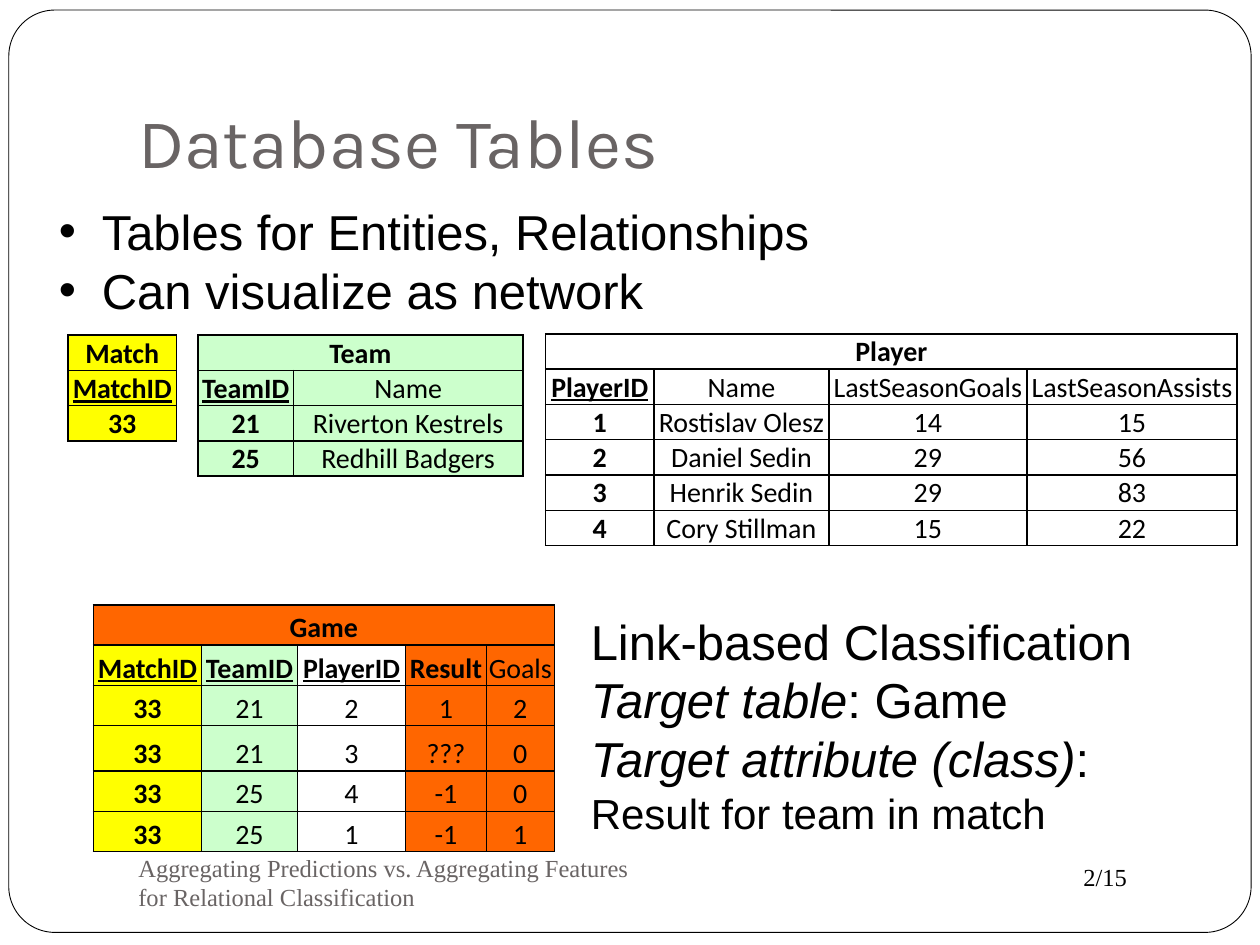
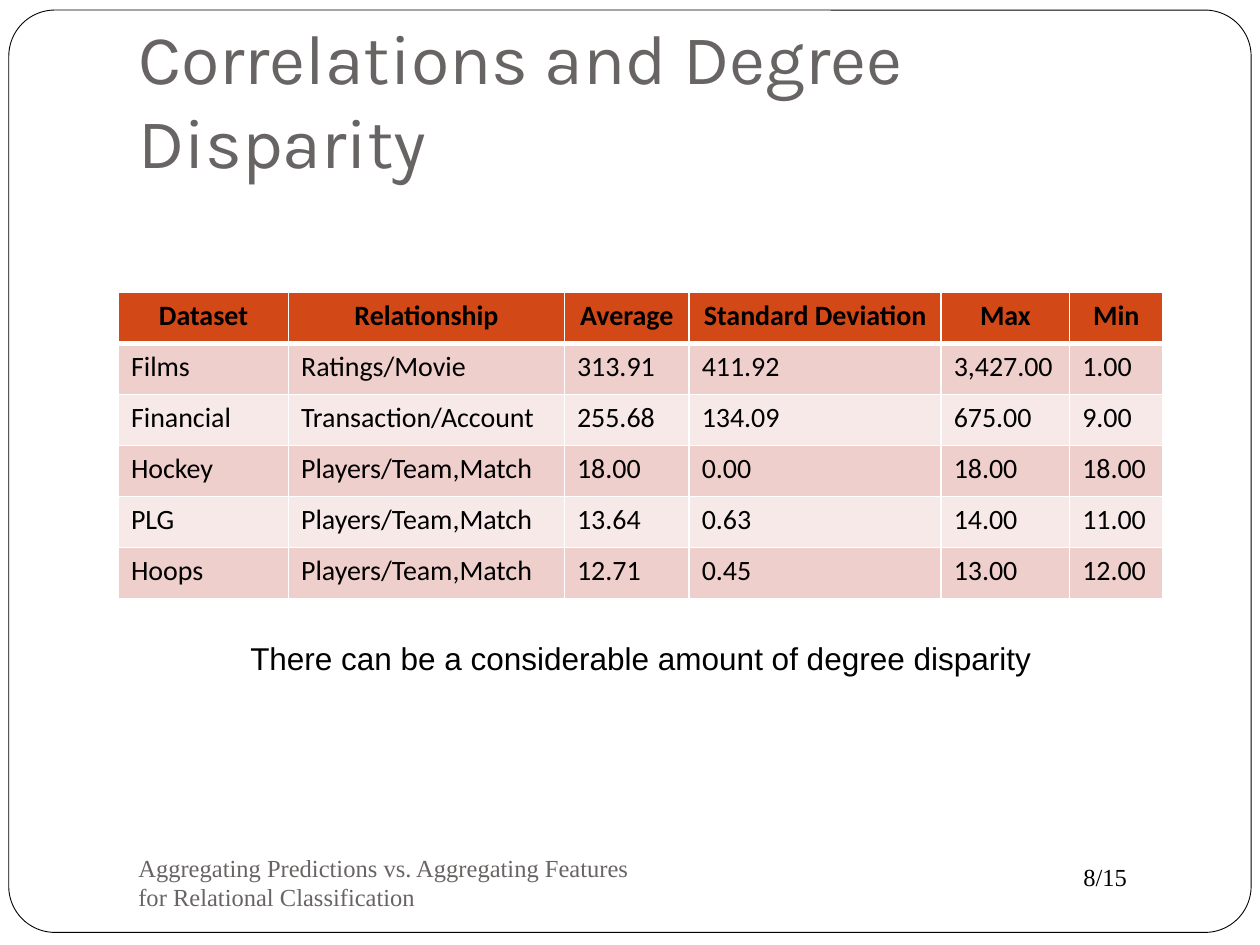
from lxml import etree
from pptx import Presentation
from pptx.dml.color import RGBColor
from pptx.enum.shapes import MSO_SHAPE as Shape
from pptx.enum.text import MSO_ANCHOR as Anchor, PP_ALIGN as Align
from pptx.oxml.ns import qn
from pptx.util import Pt

PX = 9144  # EMU per px, 100 px to the inch
hex_color = RGBColor.from_string

BLACK, WHITE, GREY = "000000", "FFFFFF", "696464"
YELLOW, GREEN, ORANGE = "FFFF00", "CCFFCC", "FF6600"
HEADER_RED, BAND_DARK, BAND_LIGHT = "D34817", "EFCFCC", "F7E9E8"
FOOTER = "Aggregating Predictions vs. Aggregating Features for Relational Classification"


def write_text(frame, paragraphs, font, size, color=BLACK, align=Align.LEFT):
    """Each paragraph is a list of (text, flags, size change); flags are b, i, u."""
    frame.word_wrap = True
    for index, runs in enumerate(paragraphs):
        paragraph = frame.paragraphs[0] if index == 0 else frame.add_paragraph()
        paragraph.alignment = align
        for text, flags, change in runs:
            run = paragraph.add_run()
            run.text = text
            run.font.name, run.font.size = font, Pt(size + change)
            run.font.bold, run.font.italic, run.font.underline = (flag in flags for flag in "biu")
            run.font.color.rgb = hex_color(color)


def style_cell(cell, fill, line, widths):
    """Fill a cell and draw its left, right, top and bottom borders."""
    cell.fill.solid()
    cell.fill.fore_color.rgb = hex_color(fill)
    properties = cell._tc.get_or_add_tcPr()
    for index, (side, width) in enumerate(zip("LRTB", widths)):
        border = etree.Element(qn(f"a:ln{side}"), w=str(Pt(width)))
        solid = etree.SubElement(border, qn("a:solidFill"))
        etree.SubElement(solid, qn("a:srgbClr"), val=line)
        properties.insert(index, border)


presentation = Presentation()
presentation.slide_width, presentation.slide_height = 1000 * PX, 750 * PX

# Frame, title, footer and page number on both slides
slides = []
for title, page in (("Database Tables", "2/15"), ("Correlations and Degree Disparity", "8/15")):
    slide = presentation.slides.add_slide(presentation.slide_layouts[6])
    slides.append(slide)
    outline = slide.shapes.add_shape(Shape.ROUNDED_RECTANGLE, 7 * PX, 8 * PX, 986 * PX, 732 * PX)
    outline.adjustments[0] = 0.05
    outline.shadow.inherit = False
    outline.fill.solid()
    outline.fill.fore_color.rgb = hex_color(WHITE)
    outline.line.color.rgb = hex_color(BLACK)
    outline.line.width = Pt(0.5)
    for text, box, font, size, color, anchor in (
        (title, (100, 30, 850, 125), "Karla", 40, GREY, Anchor.BOTTOM),
        (FOOTER, (100, 675, 433, 50), "Times New Roman", 14, GREY, Anchor.MIDDLE),
        (page, (850, 679, 100, 34), "Times New Roman", 14, BLACK, Anchor.TOP),
    ):
        frame = slide.shapes.add_textbox(*(value * PX for value in box)).text_frame
        frame.vertical_anchor = anchor
        if text == title:
            frame.margin_bottom = 10 * PX
        write_text(frame, [[(text, "", 0)]], font, size, color)
tables_slide, disparity_slide = slides

# Body texts
bullets = [[("Tables for Entities, Relationships", "", 0)], [("Can visualize as network", "", 0)]]
task = [
    [("Link-based Classification", "", 0)],
    [("Target table", "i", 0), (": Game", "", 0)],
    [("Target attribute (class)", "i", 0), (":", "", 0)],
    [("Result for team in match", "", -4)],
]
remark = [[("There can be a considerable amount of degree disparity", "", 0)]]
for slide, paragraphs, box, size, align in (
    (tables_slide, bullets, (37, 155, 677, 104), 28, Align.LEFT),
    (tables_slide, task, (459, 480, 541, 192), 28, Align.LEFT),
    (disparity_slide, remark, (94, 502, 829, 40), 18, Align.CENTER),
):
    frame = slide.shapes.add_textbox(*(value * PX for value in box)).text_frame
    write_text(frame, paragraphs, "Arial", size, align=align)
    if paragraphs is bullets:
        for paragraph in frame.paragraphs:
            properties = paragraph._p.get_or_add_pPr()
            properties.set("marL", str(34 * PX))
            properties.set("indent", str(-34 * PX))
            etree.SubElement(properties, qn("a:buFont"), typeface="Arial")
            etree.SubElement(properties, qn("a:buChar"), char="•")

# Entity and relationship tables: name, left, top, row heights, line spacing,
# column widths, column colours, rows below the name
entity_tables = (
    ("Team", 157, 266, [28] * 4, 1, (76, 182), [GREEN] * 2, (
        ("TeamID", "Name"),
        ("21", "Riverton Kestrels"),
        ("25", "Redhill Badgers"),
    )),
    ("Player", 433, 265, [28] * 6, 1, (86, 139, 157, 167), [WHITE] * 4, (
        ("PlayerID", "Name", "LastSeasonGoals", "LastSeasonAssists"),
        ("1", "Rostislav Olesz", "14", "15"),
        ("2", "Daniel Sedin", "29", "56"),
        ("3", "Henrik Sedin", "29", "83"),
        ("4", "Cory Stillman", "15", "22"),
    )),
    ("Match", 54, 266, [28] * 3, 1, (86,), [YELLOW], (("MatchID",), ("33",))),
    ("Game", 74, 480, (32, 32, 32, 36, 32, 32), 1.15, (86, 76, 86, 64, 54),
     (YELLOW, GREEN, WHITE, ORANGE, ORANGE), (
        ("MatchID", "TeamID", "PlayerID", "Result", "Goals"),
        ("33", "21", "2", "1", "2"),
        ("33", "21", "3", "???", "0"),
        ("33", "25", "4", "-1", "0"),
        ("33", "25", "1", "-1", "1"),
    )),
)
for name, left, top, heights, spacing, widths, colors, rows in entity_tables:
    table = tables_slide.shapes.add_table(
        len(heights), len(widths), left * PX, top * PX, sum(widths) * PX, sum(heights) * PX).table
    table.first_row = table.horz_banding = False
    for column, width in zip(table.columns, widths):
        column.width = width * PX
    for row, height in zip(table.rows, heights):
        row.height = height * PX
    name_row = (name,) + ("",) * (len(widths) - 1)
    for row_index, texts in enumerate((name_row, *rows)):
        for column_index, text in enumerate(texts):
            cell = table.cell(row_index, column_index)
            style_cell(cell, colors[-1] if row_index == 0 else colors[column_index], BLACK, [1] * 4)
            cell.margin_left = cell.margin_top = cell.margin_right = PX
            cell.margin_bottom = 0
            cell.vertical_anchor = Anchor.BOTTOM
            is_key = text.endswith("ID")
            is_bold = row_index == 0 or column_index == 0 or is_key or text == "Result"
            flags = "b" * is_bold + "u" * is_key
            if text:
                write_text(cell.text_frame, [[(text, flags, 0)]], "Calibri", 16, align=Align.CENTER)
                cell.text_frame.paragraphs[0].line_spacing = spacing
    if len(widths) > 1:
        table.cell(0, 0).merge(table.cell(0, len(widths) - 1))

# Degree disparity table
disparity_rows = (
    ("Dataset", "Relationship", "Average", "Standard Deviation", "Max", "Min"),
    ("Films", "Ratings/Movie", "313.91", "411.92", "3,427.00", "1.00"),
    ("Financial", "Transaction/Account", "255.68", "134.09", "675.00", "9.00"),
    ("Hockey", "Players/Team,Match", "18.00", "0.00", "18.00", "18.00"),
    ("PLG", "Players/Team,Match", "13.64", "0.63", "14.00", "11.00"),
    ("Hoops", "Players/Team,Match", "12.71", "0.45", "13.00", "12.00"),
)
disparity_widths = (135, 219, 99, 200, 102, 74)
table = disparity_slide.shapes.add_table(
    len(disparity_rows), len(disparity_widths), 94 * PX, 232 * PX, 829 * PX, 243 * PX).table
table.first_row = table.horz_banding = False
for column, width in zip(table.columns, disparity_widths):
    column.width = width * PX
for row_index, texts in enumerate(disparity_rows):
    is_header = row_index == 0
    fill = HEADER_RED if is_header else (BAND_LIGHT, BAND_DARK)[row_index % 2]
    borders = (1, 1, 3 if row_index == 1 else 1, 3 if is_header else 1)
    for column_index, text in enumerate(texts):
        cell = table.cell(row_index, column_index)
        style_cell(cell, fill, WHITE, borders)
        write_text(cell.text_frame, [[(text, "b" * is_header, 0)]], "Calibri", 16,
                   align=Align.CENTER if is_header else Align.LEFT)

presentation.save("out.pptx")
